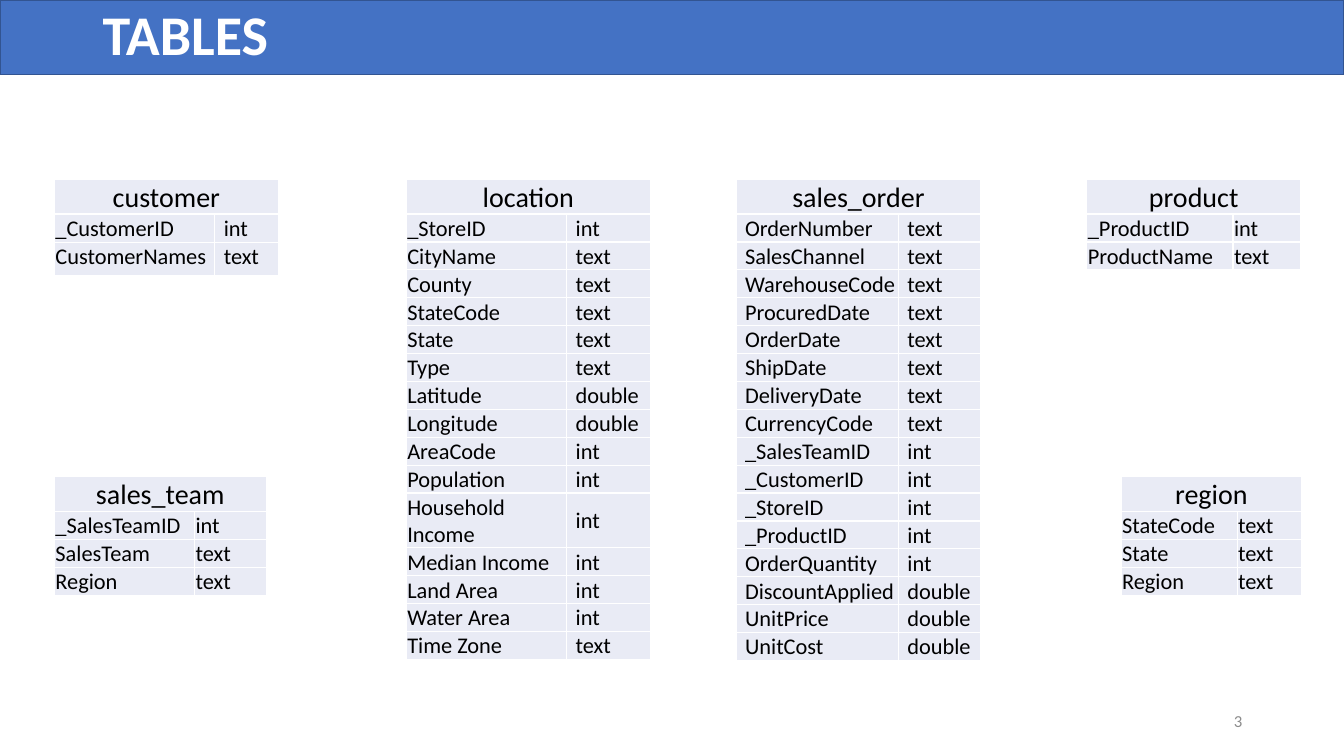
from dataclasses import dataclass
from typing import Any

from lxml import etree
from pptx import Presentation
from pptx import util as u
from pptx.dml.color import RGBColor
from pptx.enum import shapes, text
from pptx.oxml import ns

EMU_PER_PX = 9144  # 100 px to the inch
FONT = "Calibri"
BLACK, WHITE, GREY = "000000", "FFFFFF", "8C8C8C"
BANNER_BLUE, BANNER_EDGE, CELL_FILL = "4472C4", "325491", "E9EBF5"
TOP, MIDDLE, BOTTOM = (
    text.MSO_ANCHOR.TOP, text.MSO_ANCHOR.MIDDLE, text.MSO_ANCHOR.BOTTOM)
LEFT, CENTER, RIGHT = text.PP_ALIGN.LEFT, text.PP_ALIGN.CENTER, text.PP_ALIGN.RIGHT
HEADER_HEIGHT, FIELD_HEIGHT = 26, 21
TIGHT, INDENTED = 1, 9  # left cell margins


@dataclass(frozen=True)
class Label:
    wording: str
    left: int
    top: int
    width: int
    height: int
    size: int
    color: str
    bold: bool = False
    align: Any = LEFT
    line_spacing: float = 1.0


@dataclass(frozen=True)
class Schema:
    name: str
    left: int
    top: int
    height: int
    columns: tuple[int, int]
    fields: str  # "name:type" entries separated by commas
    margins: tuple[int, int] = (TIGHT, TIGHT)
    anchors: tuple[Any, Any] = (MIDDLE, MIDDLE)
    header_anchor: Any = BOTTOM
    row_heights: tuple[int, ...] = ()


LABELS = [
    Label("TABLES", 92, 10, 1150, 54, 40, WHITE, bold=True, line_spacing=0.9),
    Label("3", 942, 695, 300, 40, 12, GREY, align=RIGHT),
]

SCHEMAS = [
    Schema("customer", 54, 178, 95, (159, 63),
           "_CustomerID:int,CustomerNames:text",
           margins=(TIGHT, INDENTED), anchors=(TOP, TOP), row_heights=(29, 28, 33)),
    Schema("location", 403, 178, 477, (159, 83),
           "_StoreID:int,CityName:text,County:text,StateCode:text,State:text,"
           "Type:text,Latitude:double,Longitude:double,AreaCode:int,"
           "Population:int,Household Income:int,Median Income:int,"
           "Land Area:int,Water Area:int,Time Zone:text",
           margins=(TIGHT, INDENTED), anchors=(TOP, MIDDLE), header_anchor=TOP),
    Schema("product", 1078, 178, 90, (145, 67),
           "_ProductID:int,ProductName:text"),
    Schema("region", 1112, 473, 118, (115, 64),
           "StateCode:text,State:text,Region:text"),
    Schema("sales_order", 730, 178, 478, (161, 82),
           "OrderNumber:text,SalesChannel:text,WarehouseCode:text,"
           "ProcuredDate:text,OrderDate:text,ShipDate:text,DeliveryDate:text,"
           "CurrencyCode:text,_SalesTeamID:int,_CustomerID:int,_StoreID:int,"
           "_ProductID:int,OrderQuantity:int,DiscountApplied:double,"
           "UnitPrice:double,UnitCost:double",
           margins=(INDENTED, INDENTED)),
    Schema("sales_team", 54, 473, 118, (139, 71),
           "_SalesTeamID:int,SalesTeam:text,Region:text"),
]


def px(length: int) -> int:
    return u.Emu(length * EMU_PER_PX)


def rgb(color: str) -> RGBColor:
    return RGBColor.from_string(color)


def apply_format(target: Any, values: dict[str, Any]) -> None:
    for attribute, value in values.items():
        setattr(target, attribute, value)


def paint(fill: Any, color: str) -> None:
    fill.solid()
    fill.fore_color.rgb = rgb(color)


def write(paragraph: Any, wording: str, size: int, color: str,
          align: Any = LEFT, bold: bool = False) -> None:
    paragraph.alignment = align
    run = paragraph.add_run()
    run.text = wording
    apply_format(run.font, {"name": FONT, "size": u.Pt(size), "bold": bold})
    run.font.color.rgb = rgb(color)


def add_banner(slide: Any) -> None:
    banner = slide.shapes.add_shape(
        shapes.MSO_SHAPE.RECTANGLE, 0, 0, px(1333), px(74))
    banner.shadow.inherit = False
    paint(banner.fill, BANNER_BLUE)
    paint(banner.line.fill, BANNER_EDGE)
    banner.line.width = u.Pt(1)


def add_label(slide: Any, label: Label) -> None:
    box = slide.shapes.add_textbox(
        px(label.left), px(label.top), px(label.width), px(label.height))
    frame = box.text_frame
    apply_format(frame, {"word_wrap": True, "vertical_anchor": MIDDLE})
    paragraph = frame.paragraphs[0]
    paragraph.line_spacing = label.line_spacing
    write(paragraph, label.wording, label.size, label.color, label.align, label.bold)


def style_cell(cell: Any, margin: int, anchor: Any) -> None:
    apply_format(cell, {
        "margin_left": px(margin), "margin_top": px(1),
        "margin_right": px(1), "margin_bottom": 0, "vertical_anchor": anchor})
    # Borders come before the fill in the cell properties
    properties = cell._tc.get_or_add_tcPr()
    for side in ("lnL", "lnR", "lnT", "lnB"):
        border = etree.SubElement(properties, ns.qn(f"a:{side}"), w=str(u.Pt(1)))
        solid = etree.SubElement(border, ns.qn("a:solidFill"))
        etree.SubElement(solid, ns.qn("a:srgbClr"), val=WHITE)
    paint(cell.fill, CELL_FILL)


def add_schema(slide: Any, schema: Schema) -> None:
    fields = [field.split(":") for field in schema.fields.split(",")]
    heights = schema.row_heights or (HEADER_HEIGHT, *[FIELD_HEIGHT] * len(fields))
    frame = slide.shapes.add_table(
        len(heights), 2, px(schema.left), px(schema.top),
        px(sum(schema.columns)), px(schema.height))
    table = frame.table
    apply_format(table, {"first_row": False, "horz_banding": False})
    for column, width in zip(table.columns, schema.columns):
        column.width = px(width)
    for row, height in zip(table.rows, heights):
        row.height = px(height)
    frame.height = px(schema.height)

    # Header across both columns
    for column in range(2):
        style_cell(table.cell(0, column), TIGHT, schema.header_anchor)
    header = table.cell(0, 0)
    header.merge(table.cell(0, 1))
    write(header.text_frame.paragraphs[0], schema.name, 20, BLACK, CENTER)

    # Field names and types
    for row, field in enumerate(fields, start=1):
        for column, wording in enumerate(field):
            cell = table.cell(row, column)
            style_cell(cell, schema.margins[column], schema.anchors[column])
            write(cell.text_frame.paragraphs[0], wording, 16, BLACK)


def main() -> None:
    presentation = Presentation()
    apply_format(presentation, {"slide_width": px(1333), "slide_height": px(750)})
    slide = presentation.slides.add_slide(presentation.slide_layouts[6])
    add_banner(slide)
    for label in LABELS:
        add_label(slide, label)
    for schema in SCHEMAS:
        add_schema(slide, schema)
    presentation.save("out.pptx")


if __name__ == "__main__":
    main()
